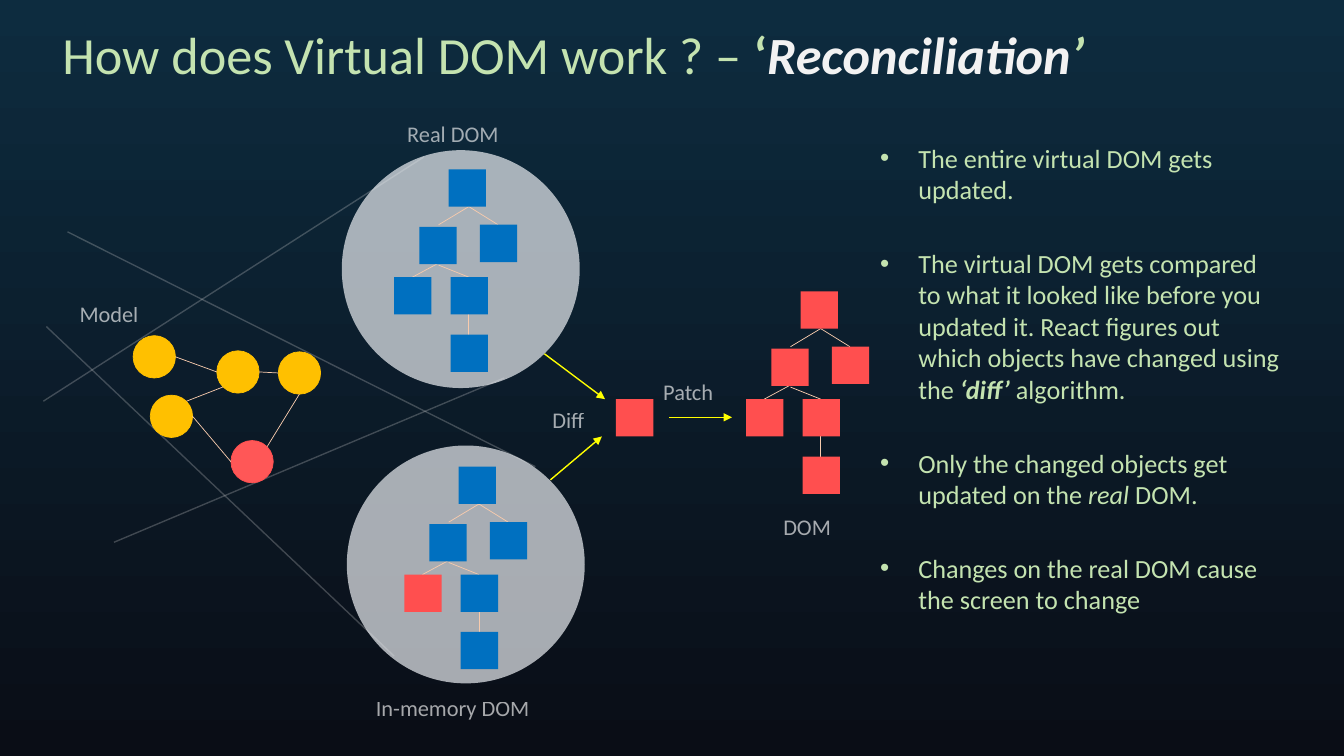
from lxml import etree
from pptx import Presentation
from pptx.dml.color import RGBColor
from pptx.enum import shapes
from pptx.oxml.ns import qn
from pptx.util import Inches, Pt

COLORS = {
    "top": "0D2C3F", "bottom": "0A0D16", "green": "C4E3B0", "white": "FFFFFF",
    "bright": "F2F2F2", "disc": "EBEEF2", "beam": "D9D9D9", "branch": "F8CBAD",
    "blue": "0070C0", "red": "FF4F4F", "coral": "FF5757", "amber": "FFC000",
    "yellow": "FFFF00",
}
# Runs: text, style (b bold, i italic), colour
TITLE = [("How does Virtual DOM work ? – ", "", "green"), ("‘", "b", "green"),
         ("Reconciliation", "bi", "bright"), ("’", "bi", "green")]
BULLETS = [
    [("The entire virtual DOM gets updated.", "", "green")],
    [("The virtual DOM gets compared to what it looked like before you updated it. "
      "React figures out which objects have changed using the ", "", "green"),
     ("‘diff’ ", "bi", "green"), ("algorithm.", "", "green")],
    [("Only the changed objects get updated on the ", "", "green"),
     ("real", "i", "green"), (" DOM.", "", "green")],
    [("Changes on the real DOM cause the screen to change", "", "green")],
]
# Labels: text, left, top, width, opacity
LABELS = [("Real DOM", 3.94, 1.14, 1.12, 61), ("Model", 0.69, 2.93, 0.79, 63),
          ("In-memory DOM", 3.63, 6.84, 1.74, 63), ("Diff", 5.38, 3.98, 0.53, 63),
          ("Patch", 6.48, 3.7, 0.7, 63), ("DOM", 7.67, 5.04, 0.68, 63)]
BEAMS = [(3.91, 6.51, 0.46, 3.24), (5.31, 4.63, 0.67, 2.3),
         (4.2, 1.56, 0.43, 3.98), (5, 3.75, 1.13, 5.38)]
DISCS = [(3.39, 1.49), (3.44, 4.42)]
ARROWS = [(5.4, 3.51, 6, 3.96), (5.46, 4.76, 5.97, 4.33), (6.64, 4.14, 7.26, 4.14)]
# Tree parts, measured from the root square's corner
NODES = [(0, 0), (0.31, 0.55), (-0.29, 0.57), (-0.54, 1.07), (0.02, 1.07), (0.02, 1.64)]
BRANCHES = [(-0.1, 0.55, 0.2, 0.37), (0.2, 0.37, 0.49, 0.55), (-0.1, 0.93, -0.36, 1.07),
            (-0.1, 0.95, 0.2, 1.07), (0.2, 1.44, 0.2, 1.64)]
# Trees: root left, root top, colour, indexes of changed nodes
TREES = [(4.45, 1.68, "blue", ()), (7.94, 2.89, "red", ()), (4.55, 4.63, "blue", (3,))]
MODEL = [(1.32, 3.33, "amber", "amber"), (2.76, 3.49, "amber", "amber"),
         (1.49, 3.92, "amber", "amber"), (2.29, 4.37, "coral", "red"),
         (2.15, 3.48, "amber", "amber")]
MODEL_LINKS = [(1.74, 3.54, 2.15, 3.69), (1.85, 3.98, 2.21, 3.84), (2.57, 3.69, 2.76, 3.7),
               (2.97, 3.91, 2.65, 4.43), (1.91, 4.13, 2.29, 4.58)]
NODE, DOT, DISC = 0.37, 0.42, 2.36
RECT, OVAL = shapes.MSO_SHAPE.RECTANGLE, shapes.MSO_SHAPE.OVAL

prs = Presentation()
prs.slide_width, prs.slide_height = Inches(13.33), Inches(7.5)
s = prs.slides.add_slide(prs.slide_layouts[6])


def paint(fill, color, opacity=100):
    fill.solid()
    fill.fore_color.rgb = RGBColor.from_string(COLORS[color])
    if opacity < 100:
        for clr in fill._xPr.iter(qn("a:srgbClr")):
            etree.SubElement(clr, qn("a:alpha"), val=str(opacity * 1000))


def add_line(x1, y1, x2, y2, color, width=0.5, opacity=100, arrow=False):
    c = s.shapes.add_connector(shapes.MSO_CONNECTOR.STRAIGHT,
                               *map(Inches, (x1, y1, x2, y2)))
    c.line.width = Pt(width)
    paint(c.line.fill, color, opacity)
    if arrow:
        etree.SubElement(c.line._get_or_add_ln(), qn("a:tailEnd"), type="triangle")
    etree.SubElement(c._element.spPr, qn("a:effectLst"))


def add_solid(kind, x, y, size, color, opacity=100, outline=None):
    sp = s.shapes.add_shape(kind, *map(Inches, (x, y, size, size)))
    sp.shadow.inherit = False
    paint(sp.fill, color, opacity)
    if outline:
        sp.line.width = Pt(0.5)
        paint(sp.line.fill, outline)
    else:
        sp.line.fill.background()


def add_box(x, y, w, h, wrap=True):
    tf = s.shapes.add_textbox(*map(Inches, (x, y, w, h))).text_frame
    tf.word_wrap = wrap
    return tf


def add_runs(p, runs, size, opacity=100):
    for words, style, color in runs:
        r = p.add_run()
        r.text = words
        r.font.name, r.font.size = "Calibri", Pt(size)
        r.font.bold, r.font.italic = "b" in style, "i" in style
        paint(r.font.fill, color, opacity)


# Background
bg = s.background.fill
bg.gradient()
bg.gradient_angle = 270
for stop, name in zip(bg.gradient_stops, ("top", "bottom")):
    stop.color.rgb = RGBColor.from_string(COLORS[name])

# Beams and discs
for beam in BEAMS:
    add_line(*beam, "beam", 1, 25)
for x, y in DISCS:
    add_solid(OVAL, x, y, DISC, "disc", 70)

# Title and bullets
add_runs(add_box(0.52, 0.17, 12.23, 1.16).paragraphs[0], TITLE, 37.3)
tf = add_box(8.63, 1.36, 4.16, 5.1)
for i, runs in enumerate(BULLETS):
    p = tf.add_paragraph() if i else tf.paragraphs[0]
    p.space_before = Pt(30.3 if i else 0)
    pPr = p._p.get_or_add_pPr()
    pPr.set("marL", str(Inches(0.38)))
    pPr.set("indent", str(Inches(-0.38)))
    etree.SubElement(pPr, qn("a:buFont"), typeface="Arial")
    etree.SubElement(pPr, qn("a:buChar"), char="•")
    add_runs(p, runs, 18.7)

# Trees
for left, top, color, changed in TREES:
    for x1, y1, x2, y2 in BRANCHES:
        add_line(left + x1, top + y1, left + x2, top + y2, "branch")
    for i, (x, y) in enumerate(NODES):
        add_solid(RECT, left + x, top + y, NODE, "red" if i in changed else color)

# Diff result and arrows
add_solid(RECT, 6.11, 3.96, NODE, "red")
for arrow in ARROWS:
    add_line(*arrow, "yellow", 1, arrow=True)

# Model graph
for x, y, color, outline in MODEL:
    add_solid(OVAL, x, y, DOT, color, outline=outline)
for link in MODEL_LINKS:
    add_line(*link, "branch")

# Labels
for words, x, y, w, opacity in LABELS:
    add_runs(add_box(x, y, w, 0.37, False).paragraphs[0], [(words, "", "white")], 16, opacity)

prs.save("out.pptx")
